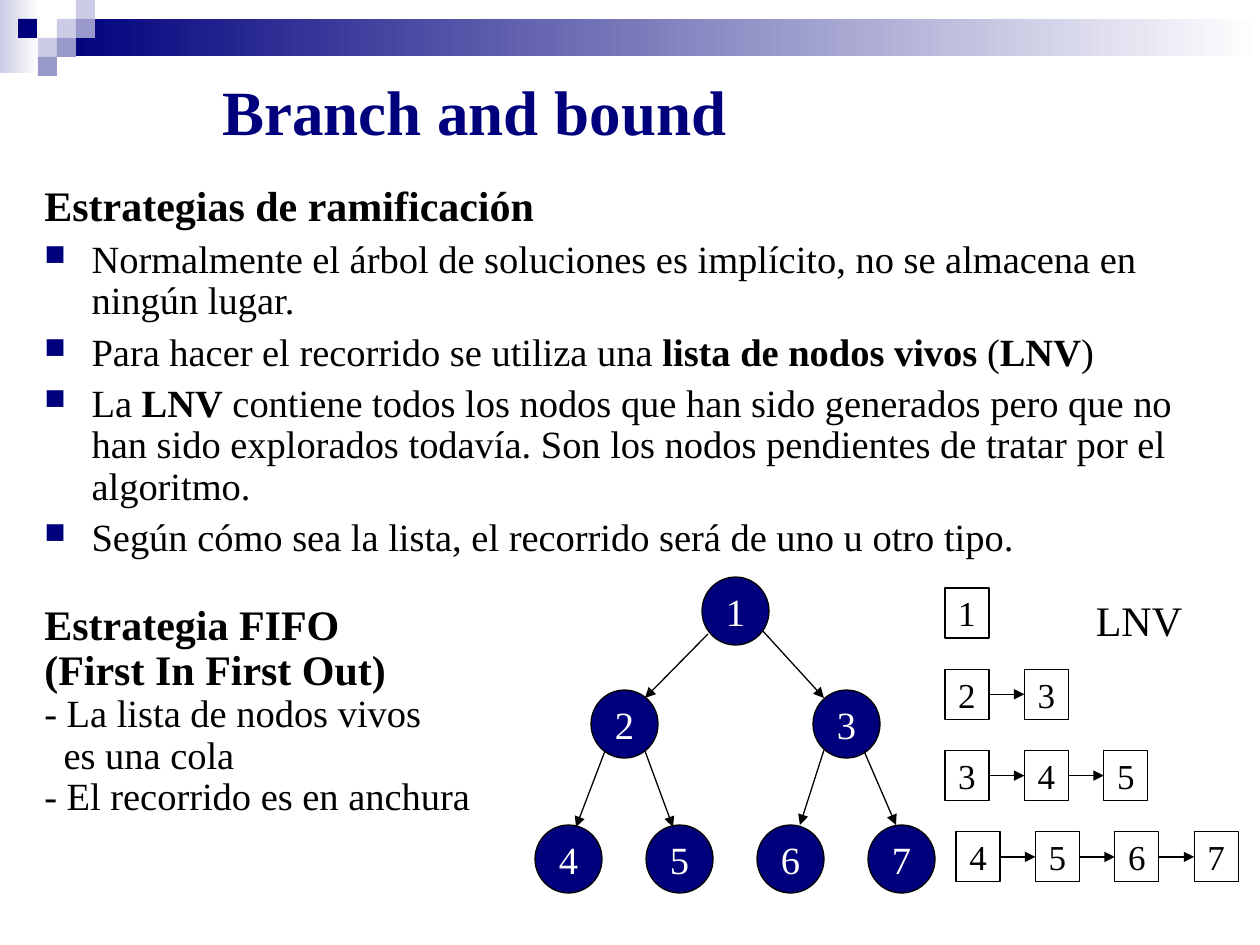
from lxml import etree
from pptx import Presentation, util as u
from pptx.dml.color import RGBColor
from pptx.enum import shapes, text
from pptx.oxml import ns

INK = {"navy": "00007D", "mid": "9999CC", "pale": "CCCCE6",
       "white": "FFFFFF", "black": "000000"}
FONT = "Times New Roman"
SCALE = 914400 / 126

FADES = [((0, 0, 39, 73), "pale"), ((57, 19, 1203, 37), "navy")]
TILE = 19
TILES = [(57, 19, "pale"), (76, 0, "pale"), (76, 19, "mid"), (38, 38, "pale"),
         (18, 19, "navy"), (57, 38, "mid"), (38, 57, "mid")]

TITLE = "Branch and bound"
# Each paragraph: kind, then runs; every second run is bold
BODY = [
    ("head", ["Estrategias de ramificación"]),
    ("item", ["Normalmente el árbol de soluciones es implícito, "
              "no se almacena en ningún lugar."]),
    ("item", ["Para hacer el recorrido se utiliza una ",
              "lista de nodos vivos", " (", "LNV", ")"]),
    ("item", ["La", " LNV", " contiene todos los nodos que han sido generados "
              "pero que no han sido explorados todavía. Son los nodos "
              "pendientes de tratar por el algoritmo."]),
    ("item", ["Según cómo sea la lista, el recorrido será de uno u otro tipo."]),
    ("part", ["Estrategia FIFO"]),
    ("more", ["(First In First Out)"]),
    ("note", ["- La lista de nodos vivos"]),
    ("tail", ["es una cola"]),
    ("note", ["- El recorrido es en anchura"]),
]
# kind: size, bold, space before (pt), left margin (pt), first indent (pt)
KINDS = {"head": (24, True, 4.5, 27, -27), "item": (22, False, 5.5, 27, -27),
         "part": (24, True, 25, 27, -27), "more": (24, True, 0, 27, -27),
         "note": (22, False, 0, 27, -27), "tail": (22, False, 0, 11, 0)}

NODE = (67, 68)
# Each level: left of first node, top, step, labels
LEVELS = [(702, 577, 0, "1"), (591, 690, 222, "23"), (535, 825, 111, "4567")]
EDGES = [(708, 634, 645, 698), (762, 630, 824, 698), (605, 751, 576, 827),
         (645, 751, 673, 827), (824, 750, 800, 825), (864, 751, 896, 825)]

CELL = (44, 50)
QUEUES = [(945, "1"), (945, "23"), (945, "345"), (956, "4567")]
QTOP, QROW, QSTEP = 588, 81.3, 79.4


def px(*vals):
    return [u.Emu(round(v * SCALE)) for v in vals]


def rgb(name):
    return RGBColor.from_string(INK[name])


def style(run, size, ink, bold=False):
    run.font.name, run.font.size, run.font.bold = FONT, u.Pt(size), bold
    run.font.color.rgb = rgb(ink)


def block(slide, form, box, ink, edge=None):
    shape = slide.shapes.add_shape(form, *px(*box))
    shape.shadow.inherit = False
    shape.fill.solid()
    shape.fill.fore_color.rgb = rgb(ink)
    if edge:
        shape.line.color.rgb = rgb(edge)
        shape.line.width = u.Pt(0.75)
    else:
        shape.line.fill.background()
    return shape


def label(shape, words, size, ink):
    frame = shape.text_frame
    frame.text = words
    frame.word_wrap = False
    frame.vertical_anchor = text.MSO_ANCHOR.MIDDLE
    para = frame.paragraphs[0]
    para.alignment = text.PP_ALIGN.CENTER
    style(para.runs[0], size, ink)


def arrow(slide, ends):
    line = slide.shapes.add_connector(shapes.MSO_CONNECTOR.STRAIGHT, *px(*ends))
    line.line.color.rgb = rgb("black")
    line.line.width = u.Pt(0.75)
    etree.SubElement(line.line._get_or_add_ln(), ns.qn("a:tailEnd"), type="triangle")
    etree.SubElement(line._element.spPr, ns.qn("a:effectLst"))
    return line


def bullet(para):
    props = para._p.get_or_add_pPr()
    color = etree.SubElement(props, ns.qn("a:buClr"))
    etree.SubElement(color, ns.qn("a:srgbClr"), val=INK["navy"])
    etree.SubElement(props, ns.qn("a:buSzPct"), val="75000")
    etree.SubElement(props, ns.qn("a:buChar"), char="■")


def banner(slide):
    for box, ink in FADES:
        fill = block(slide, shapes.MSO_SHAPE.RECTANGLE, box, ink).fill
        fill.gradient()
        fill.gradient_angle = 0
        for stop, spot, tone in zip(fill.gradient_stops, (0, 1), (ink, "white")):
            stop.position, stop.color.rgb = spot, rgb(tone)
    for x, y, ink in TILES:
        block(slide, shapes.MSO_SHAPE.RECTANGLE, (x, y, TILE, TILE), ink)


def prose(slide):
    frame = slide.shapes.add_textbox(*px(210, 32, 892, 157)).text_frame
    frame.text = TITLE
    frame.word_wrap = True
    frame.vertical_anchor = text.MSO_ANCHOR.MIDDLE
    style(frame.paragraphs[0].runs[0], 36, "navy", True)

    frame = slide.shapes.add_textbox(*px(32, 179, 1197, 703)).text_frame
    frame.word_wrap = True
    for i, (kind, runs) in enumerate(BODY):
        para = frame.add_paragraph() if i else frame.paragraphs[0]
        size, bold, gap, left, first = KINDS[kind]
        para.line_spacing, para.space_before = 0.9, u.Pt(gap)
        props = para._p.get_or_add_pPr()
        props.set("marL", str(u.Pt(left)))
        props.set("indent", str(u.Pt(first)))
        if kind == "item":
            bullet(para)
        for j, words in enumerate(runs):
            run = para.add_run()
            run.text = words
            style(run, size, "black", bold or j % 2 == 1)


def tree(slide):
    for left, top, step, names in LEVELS:
        for i, name in enumerate(names):
            node = block(slide, shapes.MSO_SHAPE.OVAL,
                         (left + i * step, top, *NODE), "navy", "black")
            label(node, name, 22, "white")
    for ends in EDGES:
        arrow(slide, ends)


def queues(slide):
    for row, (left, names) in enumerate(QUEUES):
        last = None
        for i, name in enumerate(names):
            box = (left + i * QSTEP, QTOP + row * QROW, *CELL)
            cell = block(slide, shapes.MSO_SHAPE.RECTANGLE, box, "white", "black")
            label(cell, name, 20, "black")
            if last:
                link = arrow(slide, (0, 0, 1, 1))
                link.begin_connect(last, 3)
                link.end_connect(cell, 1)
            last = cell
    tag = block(slide, shapes.MSO_SHAPE.RECTANGLE, (1081, 588, 116, 63), "white")
    label(tag, "LNV", 24, "black")


def main():
    deck = Presentation()
    deck.slide_width, deck.slide_height = px(1260, 945)
    slide = deck.slides.add_slide(deck.slide_layouts[6])
    for draw in (banner, prose, tree, queues):
        draw(slide)
    deck.save("out.pptx")


if __name__ == "__main__":
    main()
